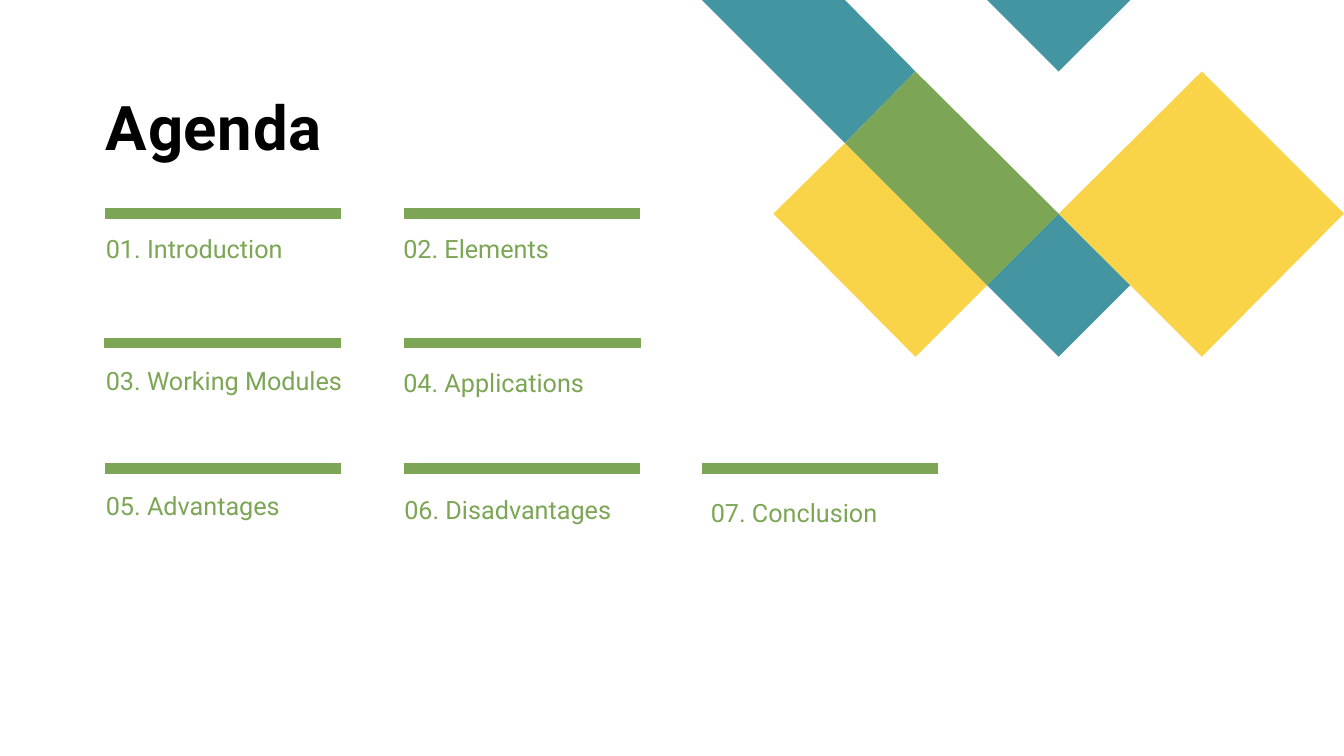
from lxml import etree
from pptx import Presentation
from pptx.dml.color import RGBColor
from pptx.enum.shapes import MSO_CONNECTOR, MSO_SHAPE
from pptx.enum.text import MSO_ANCHOR, PP_ALIGN
from pptx.oxml.ns import qn
from pptx.util import Pt

PX = 9144
FONT = "Roboto"
STRAIGHT = MSO_CONNECTOR.STRAIGHT
RECTANGLE = MSO_SHAPE.RECTANGLE
LEFT = PP_ALIGN.LEFT
TOP, BOTTOM = MSO_ANCHOR.TOP, MSO_ANCHOR.BOTTOM

COLOURS = {
    "teal": "4495A2",
    "yellow": "F9D448",
    "green": "7CA655",
    "black": "000000",
    "white": "FFFFFF",
}

LATTICE_LEFT = 696
LATTICE_STEP = 70.8
PATTERN = [
    ("teal", [[(3, 1), (2, 0), (0, 0), (2, 2)], [(6, 4), (5, 3), (4, 4), (5, 5)]]),
    ("yellow", [[(2, 2), (1, 3), (3, 5), (4, 4)]]),
    ("teal", [[(6, 0), (4, 0), (5, 1)]]),
    ("green", [[(3, 1), (2, 2), (4, 4), (5, 3)]]),
    ("yellow", [[(9, 3), (7, 1), (5, 3), (7, 5)]]),
]

COLUMNS = [104, 401, 696]
BAR_WIDTH = 234
LINE_BARS = [(0, 212), (1, 212), (0, 465), (1, 465), (2, 465)]
BLOCK_BARS = [(0, 336), (1, 336)]
AGENDA = [
    ("01. Introduction", 105, 231),
    ("02. Elements", 400, 231),
    ("03. Working Modules", 105, 362),
    ("04. Applications", 400, 364),
    ("05. Advantages", 105, 486),
    ("06. Disadvantages", 401, 490),
    ("07. Conclusion", 705, 493),
]


def colour(name):
    return RGBColor.from_string(COLOURS[name])


def emu(*lengths):
    return [length * PX for length in lengths]


def lattice_point(column, row):
    return round(LATTICE_LEFT + LATTICE_STEP * column), round(LATTICE_STEP * row)


def add_pattern_piece(slide, fill, outlines):
    contours = [[lattice_point(*corner) for corner in outline] for outline in outlines]
    builder = slide.shapes.build_freeform(*contours[0][0], scale=PX)
    builder.add_line_segments(contours[0][1:], close=True)
    for contour in contours[1:]:
        builder.move_to(*contour[0])
        builder.add_line_segments(contour[1:], close=True)
    piece = builder.convert_to_shape()
    piece.shadow.inherit = False
    piece.fill.solid()
    piece.fill.fore_color.rgb = colour(fill)
    piece.line.fill.background()


def add_line_bar(slide, column, y):
    left = COLUMNS[column]
    bar = slide.shapes.add_connector(STRAIGHT, *emu(left, y, left + BAR_WIDTH, y))
    bar.line.color.rgb = colour("green")
    bar.line.width = Pt(8)
    etree.SubElement(bar._element.spPr, qn("a:effectLst"))


def add_block_bar(slide, column, y):
    bar = slide.shapes.add_shape(RECTANGLE, *emu(COLUMNS[column], y, BAR_WIDTH, 9))
    bar.shadow.inherit = False
    bar.fill.solid()
    bar.fill.fore_color.rgb = colour("green")
    bar.line.color.rgb = colour("green")
    bar.line.width = Pt(1)


def write_text(holder, text, size, ink, anchor, bold=False):
    frame = holder.text_frame
    frame.text = text
    frame.word_wrap = True
    frame.vertical_anchor = anchor
    frame.margin_left = frame.margin_right = frame.margin_top = frame.margin_bottom = 0
    paragraph = frame.paragraphs[0]
    paragraph.alignment = LEFT
    font = paragraph.runs[0].font
    font.name = FONT
    font.size = Pt(size)
    font.bold = bold
    font.color.rgb = colour(ink)
    return paragraph


def add_title(slide, text):
    title = slide.shapes.title
    title.left, title.top, title.width, title.height = emu(105, 96, 540, 67)
    paragraph = write_text(title, text, 44, "black", BOTTOM, bold=True)
    paragraph.line_spacing = 0.9
    paragraph.runs[0].font._element.set("spc", "50")


def add_agenda_item(slide, text, left, top):
    item = slide.shapes.add_textbox(*emu(left, top, 266, 39))
    write_text(item, text, 18, "green", TOP).space_before = Pt(4)


def main():
    deck = Presentation()
    deck.slide_width, deck.slide_height = emu(1333, 750)
    slide = deck.slides.add_slide(deck.slide_layouts[5])
    slide.background.fill.solid()
    slide.background.fill.fore_color.rgb = colour("white")
    for fill, outlines in PATTERN:
        add_pattern_piece(slide, fill, outlines)
    for column, y in LINE_BARS:
        add_line_bar(slide, column, y)
    for column, y in BLOCK_BARS:
        add_block_bar(slide, column, y)
    add_title(slide, "Agenda")
    for text, left, top in AGENDA:
        add_agenda_item(slide, text, left, top)
    deck.save("out.pptx")


if __name__ == "__main__":
    main()
